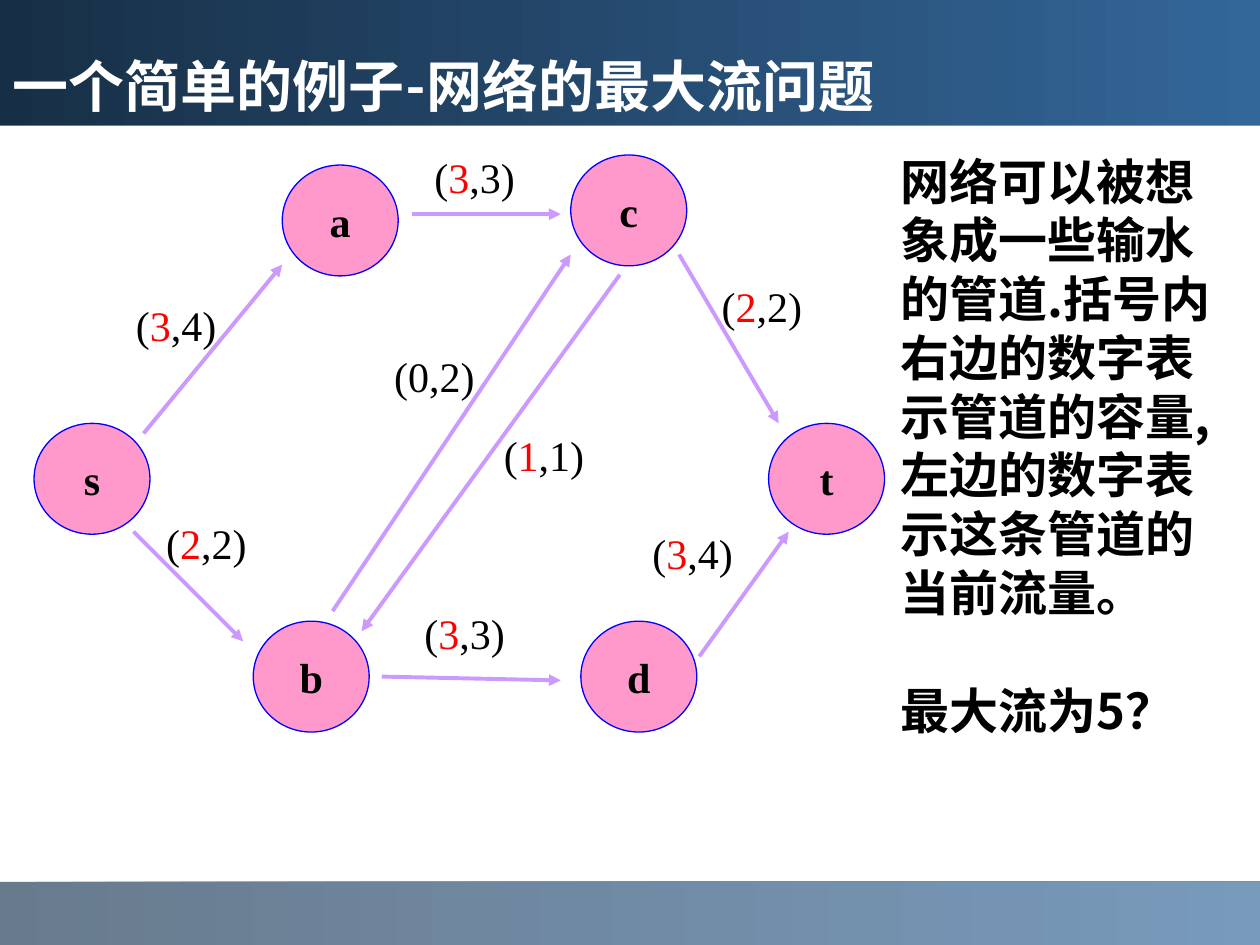
"""Build the slide on the maximum flow of a simple network."""
from dataclasses import dataclass

from lxml import etree
from pptx import Presentation
from pptx.dml.color import RGBColor
from pptx.enum.shapes import MSO_CONNECTOR, MSO_SHAPE
from pptx.enum.text import MSO_ANCHOR, MSO_AUTO_SIZE, PP_ALIGN
from pptx.oxml.ns import qn
from pptx.util import Inches, Pt

RECT, OVAL = MSO_SHAPE.RECTANGLE, MSO_SHAPE.OVAL
STRAIGHT = MSO_CONNECTOR.STRAIGHT
TOP, MIDDLE, BOTTOM = MSO_ANCHOR.TOP, MSO_ANCHOR.MIDDLE, MSO_ANCHOR.BOTTOM
LEFT, CENTER = PP_ALIGN.LEFT, PP_ALIGN.CENTER
FIXED, GROW = MSO_AUTO_SIZE.NONE, MSO_AUTO_SIZE.SHAPE_TO_FIT_TEXT


@dataclass(frozen=True)
class Theme:
    light: str = "336699"
    band_dark: str = "1B3753"
    title_dark: str = "172F46"
    white: str = "FFFFFF"
    ink: str = "000000"
    flow: str = "FF0000"
    node: str = "FF99CC"
    node_line: str = "0000FF"
    edge: str = "CC99FF"
    cjk: str = "Noto Sans CJK SC"
    heading: str = "Lato"
    serif: str = "Times New Roman"
    title_size: float = 32
    body_size: float = 28
    label_size: float = 24
    body_pitch: float = 33.6


T = Theme()


def write(sp, paragraphs, *, font, size, color=T.ink, bold=False, align=LEFT,
          anchor=TOP, wrap=True, fit=FIXED, pitch=None):
    """Fill a shape with paragraphs, each a list of (text, colour or None)."""
    tf = sp.text_frame
    tf.word_wrap, tf.auto_size, tf.vertical_anchor = wrap, fit, anchor
    for i, runs in enumerate(paragraphs):
        p = tf.add_paragraph() if i else tf.paragraphs[0]
        p.alignment = align
        if pitch:
            p.line_spacing = Pt(pitch)
            p.space_before = Pt(pitch if i else 0)
        for text, tint in runs:
            r = p.add_run()
            r.text = text
            r.font.name, r.font.size, r.font.bold = font, Pt(size), bold
            r.font.color.rgb = RGBColor.from_string(tint or color)
            ea = etree.SubElement(r.font._element, qn("a:ea"))
            ea.set("typeface", T.cjk)


def shade(sp, dark, alpha=None):
    """Fill a shape from dark on the left to light on the right."""
    sp.fill.gradient()
    sp.fill.gradient_angle = 0
    for stop, color in zip(sp.fill.gradient_stops, (dark, T.light)):
        stop.color.rgb = RGBColor.from_string(color)
    if alpha:
        for clr in sp.element.spPr.iter(qn("a:srgbClr")):
            etree.SubElement(clr, qn("a:alpha")).set("val", str(alpha * 1000))


prs = Presentation()
prs.slide_width, prs.slide_height = Inches(10), Inches(7.5)
s = prs.slides.add_slide(prs.slide_layouts[5])

for top, height in ((7, 0.5), (0, 1)):
    sp = s.shapes.add_shape(RECT, 0, Inches(top), Inches(10), Inches(height))
    sp.shadow.inherit = False
    sp.line.fill.background()
    shade(sp, T.band_dark, alpha=66)

title = s.shapes.title
s.shapes.element.append(title.element)
title.left, title.top, title.width, title.height = 0, 0, Inches(10), Inches(0.99)
shade(title, T.title_dark)
write(title, [[("一个简单的例子-网络的最大流问题", None)]], font=T.heading,
      size=T.title_size, color=T.white, bold=True, anchor=BOTTOM)

sp = s.shapes.add_textbox(Inches(7.05), Inches(1.15), Inches(2.76), Inches(5.24))
write(sp, [[("网络可以被想象成一些输水的管道.括号内右边的数字表示管道的容量,"
             "左边的数字表示这条管道的当前流量。", None)],
           [("最大流为5？", None)]],
      font=T.cjk, size=T.body_size, bold=True, pitch=T.body_pitch)

network = s.shapes.add_group_shape().shapes

nodes = {"a": (2.24, 1.31), "t": (6.1, 3.36), "s": (0.27, 3.36),
         "b": (2.01, 4.93), "c": (4.53, 1.23), "d": (4.61, 4.93)}
for name, (x, y) in nodes.items():
    sp = network.add_shape(OVAL, Inches(x), Inches(y), Inches(0.92), Inches(0.88))
    sp.shadow.inherit = False
    sp.fill.solid()
    sp.fill.fore_color.rgb = RGBColor.from_string(T.node)
    sp.line.color.rgb = RGBColor.from_string(T.node_line)
    sp.line.width = Pt(0.75)
    write(sp, [[(name, None)]], font=T.serif, size=T.label_size, bold=True,
          align=CENTER, anchor=MIDDLE, wrap=False)

edges = [
    ((1.14, 3.44), (2.24, 2.1), (0.98, 2.33), 3, 4),
    ((1.06, 4.22), (1.93, 5.09), (1.22, 4.06), 2, 2),
    ((3.27, 1.7), (4.45, 1.7), (3.35, 1.15), 3, 3),
    ((3.03, 5.37), (4.45, 5.4), (3.27, 4.77), 3, 3),
    ((5.39, 2.02), (6.18, 3.36), (5.63, 2.18), 2, 2),
    ((5.55, 5.21), (6.26, 4.22), (5.08, 4.14), 3, 4),
    ((4.92, 2.18), (2.87, 5.01), (3.9, 3.36), 1, 1),
    ((2.64, 4.85), (4.53, 2.02), (3.03, 2.73), 0, 2),
]
for start, end, _, _, _ in edges:
    line = network.add_connector(STRAIGHT, *map(Inches, start + end))
    line.line.color.rgb = RGBColor.from_string(T.edge)
    line.line.width = Pt(2.25)
    etree.SubElement(line.line._get_or_add_ln(), qn("a:tailEnd")).set("type", "triangle")
    etree.SubElement(line.element.spPr, qn("a:effectLst"))

for _, _, (x, y), flow, capacity in edges:
    sp = network.add_textbox(Inches(x), Inches(y), Inches(0.84), Inches(0.5))
    tint = T.flow if flow else None
    write(sp, [[("(", None), (str(flow), tint), (f",{capacity})", None)]],
          font=T.serif, size=T.label_size, wrap=False, fit=GROW)

prs.save("out.pptx")
